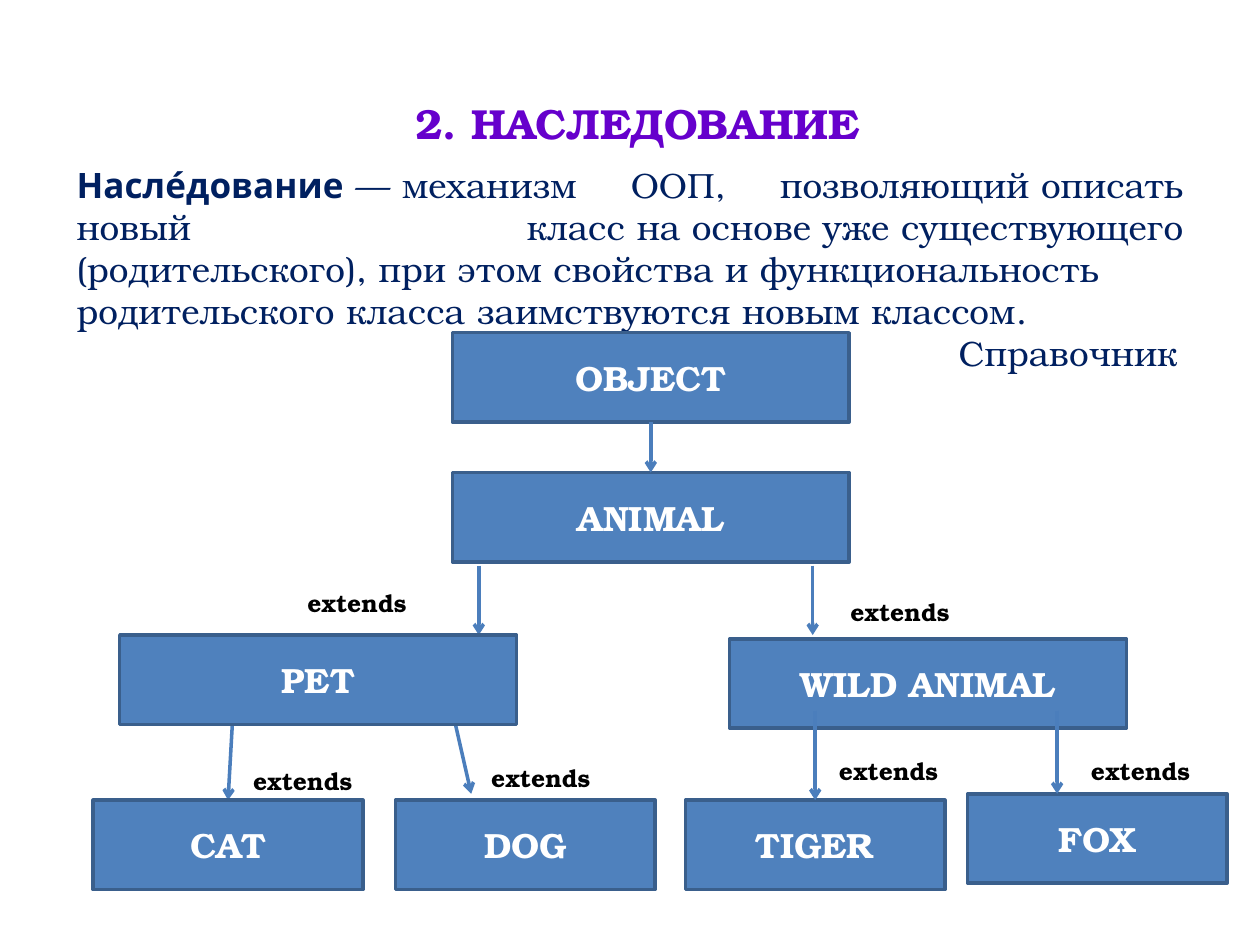
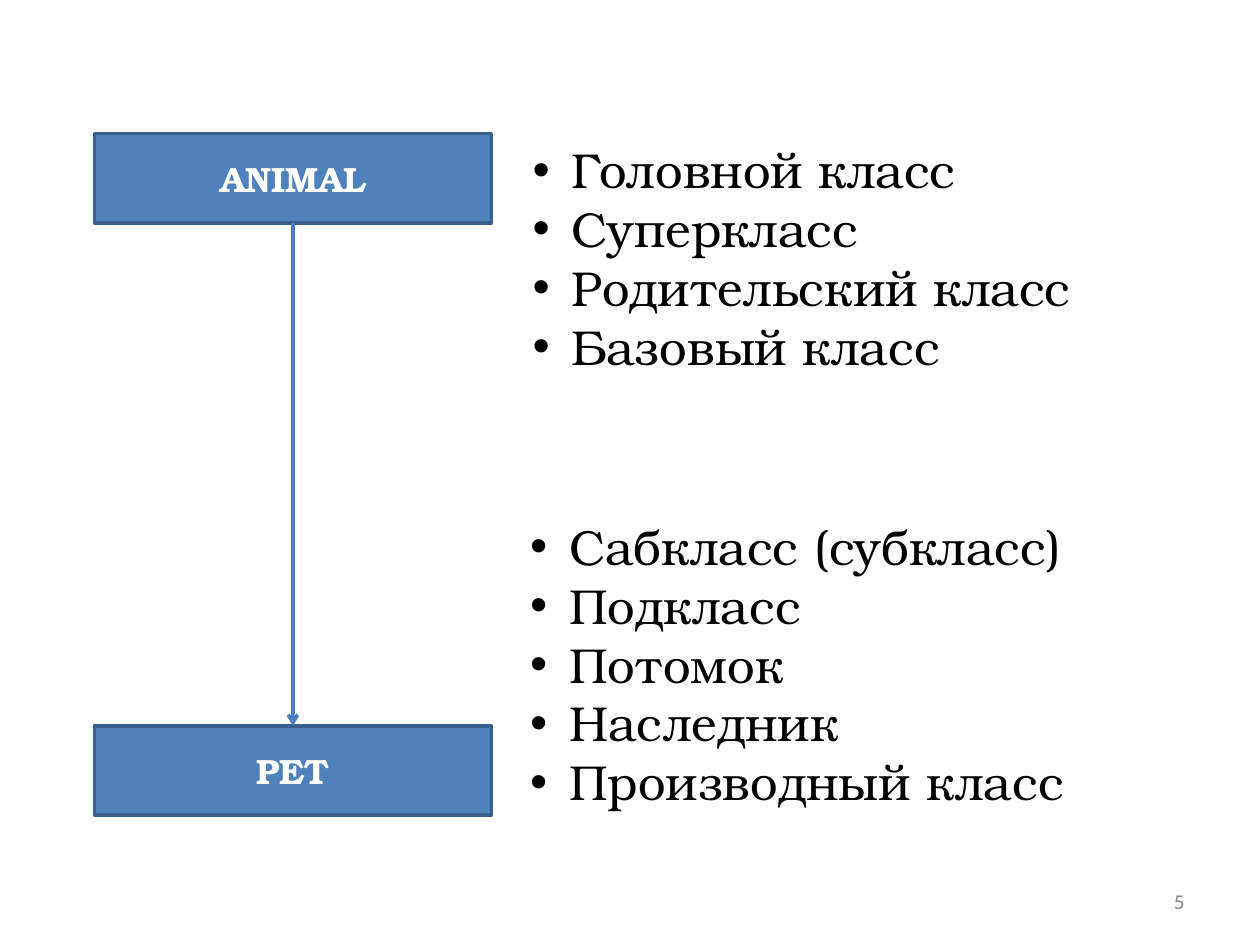
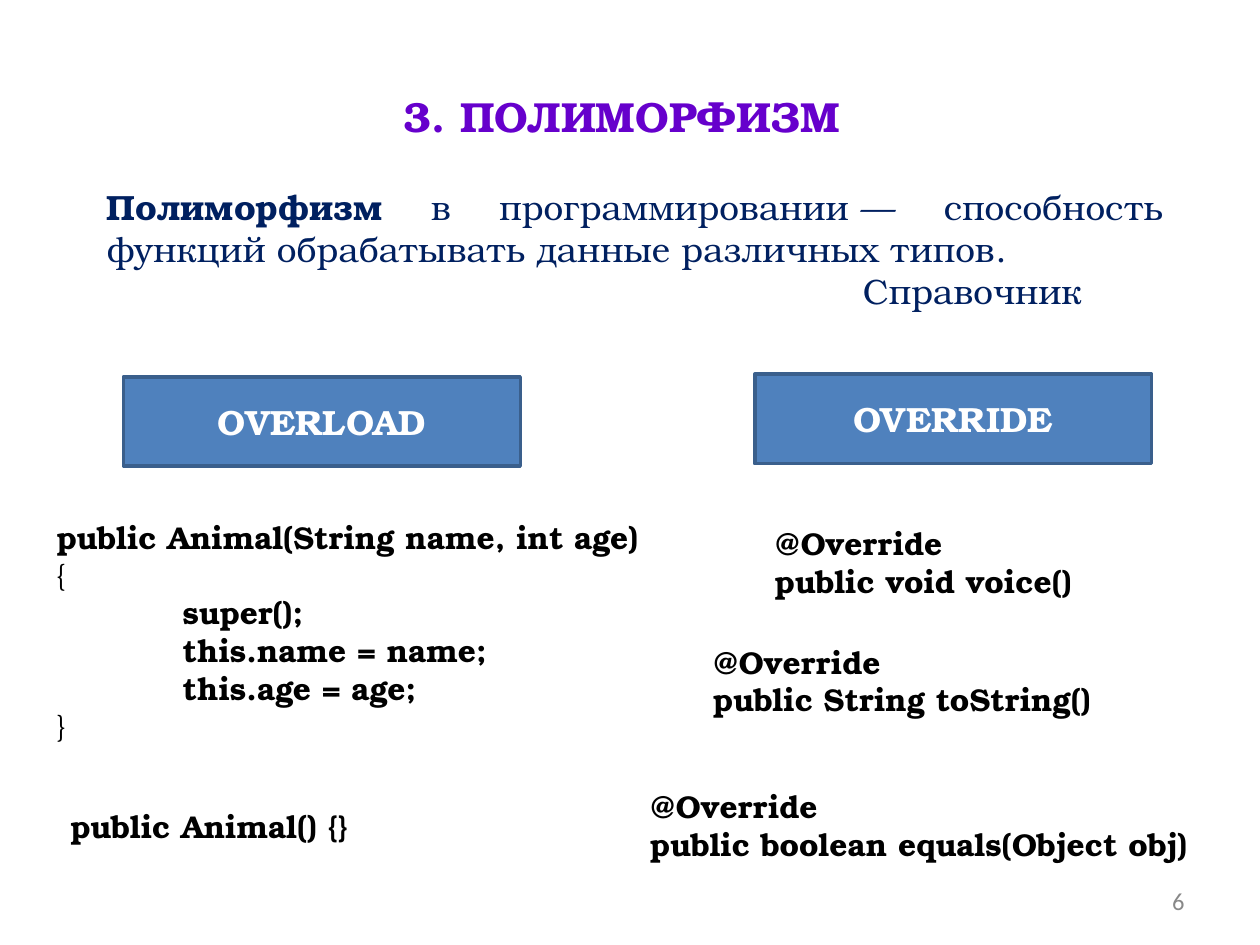
from dataclasses import dataclass

import lxml.etree
import pptx
import pptx.dml.color
import pptx.enum.dml
import pptx.enum.shapes
import pptx.enum.text
import pptx.oxml.ns
import pptx.presentation
import pptx.shapes.autoshape
import pptx.shapes.base
import pptx.slide
import pptx.util

ALIGN = pptx.enum.text.PP_ALIGN
ANCHOR = pptx.enum.text.MSO_ANCHOR
FIT = pptx.enum.text.MSO_AUTO_SIZE
EMU_PER_PX = 9144  # 100 px to the inch
TITLE_ONLY, BLANK = 5, 6
TOP, BOTTOM = 0, 2
TIE, NO_BREAK_SPACE = "~", chr(160)  # a tie in the wording keeps two words on one line


# Shared look
@dataclass(frozen=True)
class Theme:
    font: str = "TeX Gyre Bonum"
    number_font: str = "Calibri"
    title: str = "6600CC"
    definition: str = "002060"
    ink: str = "000000"
    number: str = "888888"
    box_fill: str = "4F81BD"
    box_line: str = "3A5F8C"
    box_text: str = "FFFFFF"
    arrow: str = "4B7EBC"
    title_size: int = 24
    body_size: int = 20
    label_size: int = 14
    code_size: int = 18
    list_size: int = 28
    line_width: int = 2


THEME = Theme()


@dataclass(frozen=True)
class Area:
    left: int
    top: int
    width: int
    height: int


@dataclass(frozen=True)
class Style:
    size: int
    color: str
    align: ALIGN = ALIGN.LEFT
    font: str = THEME.font


@dataclass(frozen=True)
class Run:
    text: str
    bold: bool = False


@dataclass(frozen=True)
class Line:
    runs: tuple[Run, ...]
    indent: int = 0
    bullet: bool = False


@dataclass(frozen=True)
class Box:
    label: str
    left: int
    top: int
    width: int = 315
    height: int = 71


@dataclass(frozen=True)
class Arrow:
    start: tuple[int, int]
    end: tuple[int, int]
    start_box: str = ""
    end_box: str = ""


TITLE = Style(THEME.title_size, THEME.title, ALIGN.CENTER)
DEFINITION = Style(THEME.body_size, THEME.definition, ALIGN.JUSTIFY)
BOX_LABEL = Style(THEME.body_size, THEME.box_text, ALIGN.CENTER)
ARROW_LABEL = Style(THEME.label_size, THEME.ink)
CODE = Style(THEME.code_size, THEME.ink)
LIST = Style(THEME.list_size, THEME.ink)


def px(value: int) -> pptx.util.Emu:
    return pptx.util.Emu(value * EMU_PER_PX)


def rgb(color: str) -> pptx.dml.color.RGBColor:
    return pptx.dml.color.RGBColor.from_string(color)


def plain(text: str, indent: int = 0) -> Line:
    return Line((Run(text),), indent)


def strong(text: str, indent: int = 0) -> Line:
    return Line((Run(text, True),), indent)


def add_child(parent: lxml.etree._Element, tag: str, **attributes: str) -> lxml.etree._Element:
    child = lxml.etree.SubElement(parent, pptx.oxml.ns.qn(tag))
    for name, value in attributes.items():
        child.set(name, value)
    return child


# Text
def write_lines(shape: pptx.shapes.base.BaseShape, lines: list[Line], style: Style) -> None:
    frame = shape.text_frame
    for index, line in enumerate(lines):
        paragraph = frame.paragraphs[0] if index == 0 else frame.add_paragraph()
        paragraph.alignment = style.align
        properties = paragraph._p.get_or_add_pPr()
        if line.indent:
            properties.set("marL", str(px(line.indent)))
        if line.bullet:
            properties.set("indent", str(-px(line.indent)))
            add_child(properties, "a:buFont", typeface="Arial")
            add_child(properties, "a:buChar", char="•")
        for part in line.runs:
            run = paragraph.add_run()
            run.text = part.text.replace(TIE, NO_BREAK_SPACE)
            run.font.name = style.font
            run.font.size = pptx.util.Pt(style.size)
            run.font.bold = part.bold
            run.font.color.rgb = rgb(style.color)


def add_text(slide: pptx.slide.Slide, area: Area, lines: list[Line], style: Style,
             wrap: bool = True) -> None:
    box = slide.shapes.add_textbox(px(area.left), px(area.top), px(area.width), px(area.height))
    box.text_frame.word_wrap = wrap
    box.text_frame.auto_size = FIT.SHAPE_TO_FIT_TEXT
    write_lines(box, lines, style)


def set_title(slide: pptx.slide.Slide, area: Area, text: str) -> None:
    title = slide.shapes.title
    title.left, title.top = px(area.left), px(area.top)
    title.width, title.height = px(area.width), px(area.height)
    title.text_frame.vertical_anchor = ANCHOR.TOP
    title.text_frame.word_wrap = True
    title.text_frame.auto_size = FIT.SHAPE_TO_FIT_TEXT
    write_lines(title, [strong(text)], TITLE)


def add_page_number(slide: pptx.slide.Slide, number: int, size: int) -> None:
    box = slide.shapes.add_textbox(px(717), px(695), px(233), px(40))
    box.text_frame.word_wrap = True
    box.text_frame.vertical_anchor = ANCHOR.MIDDLE
    style = Style(size, THEME.number, ALIGN.RIGHT, THEME.number_font)
    write_lines(box, [plain(str(number))], style)


# Class boxes and arrows
def add_boxes(slide: pptx.slide.Slide,
              boxes: list[Box]) -> dict[str, pptx.shapes.autoshape.Shape]:
    shapes = {}
    for box in boxes:
        shape = slide.shapes.add_shape(
            pptx.enum.shapes.MSO_SHAPE.RECTANGLE,
            px(box.left), px(box.top), px(box.width), px(box.height))
        shape.shadow.inherit = False
        shape.fill.solid()
        shape.fill.fore_color.rgb = rgb(THEME.box_fill)
        shape.line.color.rgb = rgb(THEME.box_line)
        shape.line.width = pptx.util.Pt(THEME.line_width)
        shape.text_frame.vertical_anchor = ANCHOR.MIDDLE
        write_lines(shape, [strong(box.label)], BOX_LABEL)
        shapes[box.label] = shape
    return shapes


def add_arrows(slide: pptx.slide.Slide, arrows: list[Arrow],
               boxes: dict[str, pptx.shapes.autoshape.Shape]) -> None:
    for arrow in arrows:
        connector = slide.shapes.add_connector(
            pptx.enum.shapes.MSO_CONNECTOR.STRAIGHT,
            *map(px, arrow.start), *map(px, arrow.end))
        if arrow.start_box:
            connector.begin_connect(boxes[arrow.start_box], BOTTOM)
        if arrow.end_box:
            connector.end_connect(boxes[arrow.end_box], TOP)
        connector.line.color.rgb = rgb(THEME.arrow)
        connector.line.width = pptx.util.Pt(THEME.line_width)
        add_child(connector.line._get_or_add_ln(), "a:tailEnd", type="arrow")
        add_child(connector._element.spPr, "a:effectLst")


# Slides
def build_inheritance(presentation: pptx.presentation.Presentation) -> None:
    slide = presentation.slides.add_slide(presentation.slide_layouts[TITLE_ONLY])
    set_title(slide, Area(129, 72, 753, 50), "2. НАСЛЕДОВАНИЕ")
    add_text(slide, Area(51, 125, 898, 178), [
        Line((Run("Насле́дование", True),
              Run("~—~механизм ООП, позволяющий~описать новый "
                  "класс~на~основе~уже~существующего "
                  "(родительского),~при~этом~свойства~и~функциональность~"))),
        plain("родительского~класса~заимствуются~новым~классом."),
        plain("Справочник", indent=700),
    ], DEFINITION)

    boxes = add_boxes(slide, [
        Box("OBJECT", 359, 264),
        Box("ANIMAL", 359, 375),
        Box("PET", 95, 504),
        Box("WILD ANIMAL", 579, 507),
        Box("CAT", 74, 635, 214),
        Box("DOG", 314, 635, 206),
        Box("TIGER", 544, 635, 206),
        Box("FOX", 768, 630, 206),
    ])
    add_arrows(slide, [
        Arrow((517, 335), (517, 375), "OBJECT", "ANIMAL"),
        Arrow((380, 449), (380, 504)),
        Arrow((645, 449), (645, 504)),
        Arrow((185, 564), (181, 635), end_box="CAT"),
        Arrow((359, 564), (374, 630)),
        Arrow((647, 564), (647, 635), end_box="TIGER"),
        Arrow((839, 564), (839, 630)),
    ], boxes)
    for left, top in ((234, 462), (665, 469), (191, 603), (380, 601), (656, 595), (856, 595)):
        add_text(slide, Area(left, top, 142, 40), [strong("extends")], ARROW_LABEL)

    # These boxes cover the ends of their arrows
    for label in ("PET", "CAT"):
        element = boxes[label]._element
        element.getparent().append(element)


def build_class_names(presentation: pptx.presentation.Presentation) -> None:
    slide = presentation.slides.add_slide(presentation.slide_layouts[BLANK])
    add_page_number(slide, 5, 12)
    boxes = add_boxes(slide, [Box("PET", 75, 576), Box("ANIMAL", 75, 106)])
    add_arrows(slide, [Arrow((232, 177), (232, 576), "ANIMAL", "PET")], boxes)
    name_lists = (
        (Area(413, 106, 520, 199),
         ("Головной класс", "Cуперкласс", "Pодительский класс", "Базовый класс")),
        (Area(411, 405, 520, 246),
         ("Сабкласс (субкласс)", "Подкласс", "Потомок", "Наследник", "Производный класс")),
    )
    for area, names in name_lists:
        add_text(slide, area, [Line((Run(name),), 31, True) for name in names], LIST)


def build_polymorphism(presentation: pptx.presentation.Presentation) -> None:
    slide = presentation.slides.add_slide(presentation.slide_layouts[TITLE_ONLY])
    add_page_number(slide, 6, 14)
    set_title(slide, Area(72, 67, 843, 50), "3. ПОЛИМОРФИЗМ")
    add_text(slide, Area(75, 142, 858, 111), [
        Line((Run("Полиморфизм", True),
              Run(" в программировании~— способность функций обрабатывать "
                  "данные различных типов."))),
        plain("Справочник", indent=600),
    ], DEFINITION)
    add_boxes(slide, [Box("OVERRIDE", 599, 297), Box("OVERLOAD", 98, 299)])

    # Overloaded constructors
    add_text(slide, Area(35, 406, 488, 192), [
        strong("public Animal(String name, int age)"),
        plain("{"),
        strong("super();", indent=100),
        strong("this.name = name;", indent=100),
        strong("this.age = age;", indent=100),
        plain("}"),
    ], CODE)
    add_text(slide, Area(46, 636, 243, 40), [strong("public Animal() {}")], CODE, wrap=False)

    # Overridden methods
    for area, method in (
        (Area(605, 411, 349, 71), "public void voice()"),
        (Area(556, 505, 380, 71), "public String toString()"),
        (Area(506, 620, 471, 71), "public boolean equals(Object obj)"),
    ):
        add_text(slide, area, [strong("@Override"), strong(method)], CODE)


def main() -> None:
    presentation = pptx.Presentation()
    presentation.slide_width, presentation.slide_height = px(1000), px(750)
    build_inheritance(presentation)
    build_class_names(presentation)
    build_polymorphism(presentation)
    presentation.save("out.pptx")


if __name__ == "__main__":
    main()
